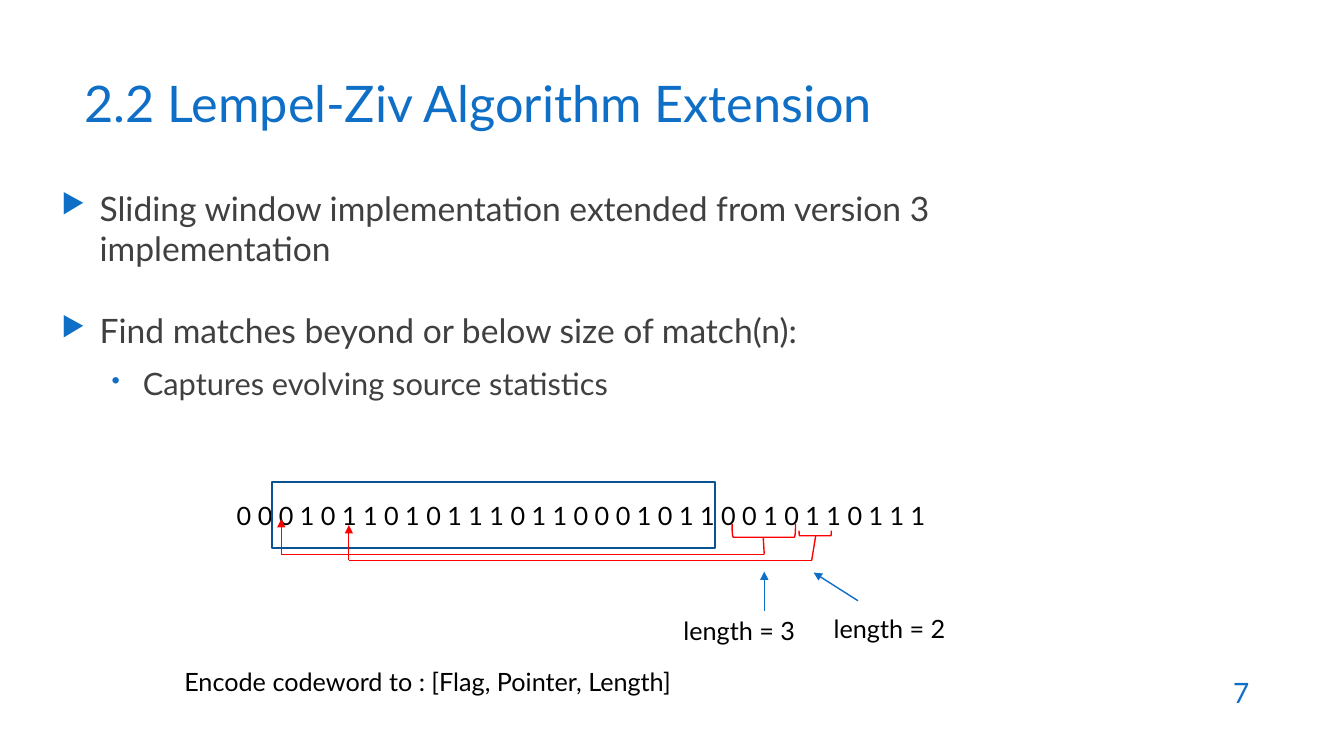
from collections import namedtuple

from lxml.etree import SubElement
from pptx import Presentation
from pptx.dml.color import RGBColor
from pptx.enum.shapes import MSO_CONNECTOR as Connector, MSO_SHAPE as Shape
from pptx.enum.text import MSO_ANCHOR as Anchor, PP_ALIGN as Align
from pptx.oxml.ns import qn
from pptx.util import Inches, Pt

BLUE, WINDOW_BLUE, RED = "0F6FC6", "0B5292", "FF0000"
GREY, BLACK = "404040", "000000"
FONT = "Lato"
Box = namedtuple("Box", "left top width height")
Match = namedtuple("Match", "pointer_x tip_y run_y bracket stem_top stem_foot")
Bullet = namedtuple("Bullet", "text symbol size level margin hang")


def rgb(color):
    """Turn a hex string into a colour."""
    return RGBColor.from_string(color)


def inches(*lengths):
    """Convert several lengths to inches."""
    return [Inches(length) for length in lengths]


def style(paragraph, size, color):
    """Set the font of a paragraph."""
    font = paragraph.font
    font.name, font.size, font.color.rgb = FONT, Pt(size), rgb(color)


def add_frame(slide, box):
    """Add a wrapping text box and return its text frame."""
    frame = slide.shapes.add_textbox(*inches(*box)).text_frame
    frame.word_wrap = True
    return frame


def add_label(slide, box, text, size=18, color=BLACK):
    """Add a text box with one paragraph and return its frame."""
    frame = add_frame(slide, box)
    frame.text = text
    style(frame.paragraphs[0], size, color)
    return frame


def add_bullets(slide, box, bullets):
    """Add a list of bulleted paragraphs."""
    frame = add_frame(slide, box)
    for index, bullet in enumerate(bullets):
        paragraph = frame.add_paragraph() if index else frame.paragraphs[0]
        paragraph.text, paragraph.level = bullet.text, bullet.level
        paragraph.space_before = Pt(10)
        style(paragraph, bullet.size, GREY)
        props = paragraph._p.get_or_add_pPr()
        props.set("marL", str(Inches(bullet.margin)))
        props.set("indent", str(Inches(-bullet.hang)))
        tint = SubElement(props, qn("a:buClr"))
        SubElement(tint, qn("a:srgbClr"), val=BLUE)
        SubElement(props, qn("a:buSzPct"), val="80000")
        SubElement(props, qn("a:buChar"), char=bullet.symbol)
        props.append(props.find(qn("a:defRPr")))


def add_outline(shapes, preset, box, color, width):
    """Add an unfilled preset shape."""
    outline = shapes.add_shape(preset, *inches(*box))
    outline.shadow.inherit = False
    outline.fill.background()
    outline.line.color.rgb, outline.line.width = rgb(color), Pt(width)
    return outline


def add_line(shapes, start, end, color, width=1, arrow=False):
    """Add a straight line, with an arrowhead at its end if asked."""
    line = shapes.add_connector(Connector.STRAIGHT, *inches(*start, *end))
    line.line.color.rgb, line.line.width = rgb(color), Pt(width)
    if arrow:
        SubElement(line.line._get_or_add_ln(), qn("a:tailEnd"), type="triangle")
    SubElement(line._element.spPr, qn("a:effectLst"))


def add_match(slide, left, top, match):
    """Draw a bracketed match and its pointer back into the window."""
    shapes = slide.shapes.add_group_shape().shapes

    def at(x, y):
        return left + x, top + y

    corner = at(match.pointer_x, match.run_y)
    foot = at(match.stem_foot, match.run_y)
    add_line(shapes, corner, at(match.pointer_x, match.tip_y), RED, 0.75, True)
    x, y, width, height = match.bracket
    bracket = add_outline(shapes, Shape.RIGHT_BRACKET, (*at(x, y), width, height), RED, 1)
    bracket.rotation = 90
    add_line(shapes, corner, foot, RED)
    add_line(shapes, at(*match.stem_top), foot, RED)


def add_sequence(slide, box):
    """Draw the bit sequence, its sliding window, matches and lengths."""
    left, top, width, _ = box
    bits = "000101101011101100010110010110111"
    add_label(slide, Box(left, top + 0.13, width, 0.4), " ".join(bits))
    add_outline(slide.shapes, Shape.RECTANGLE, (left + 0.45, top, 4.39, 0.66), WINDOW_BLUE, 1.5)
    matches = [
        Match(1.21, 0.43, 0.78, Box(5.81, 0.35, 0.05, 0.32), (5.84, 0.54), 5.8),
        Match(0.54, 0.37, 0.72, Box(5.26, 0.17, 0.13, 0.63), (5.32, 0.55), 5.33),
    ]
    for match in matches:
        add_match(slide, left, top, match)
    lengths = [
        ("length = 3", (4.43, 1.28), (5.33, 1.28), (5.33, 0.89)),
        ("length = 2", (5.92, 1.26), (6.26, 1.18), (5.82, 0.9)),
    ]
    for text, corner, start, end in lengths:
        label, tail, tip = [(left + x, top + y) for x, y in (corner, start, end)]
        add_line(slide.shapes, tail, tip, BLUE, arrow=True)
        add_label(slide, Box(*label, 1.54, 0.4), text)


def add_page_number(slide, box, number):
    """Add the right-aligned page number."""
    frame = add_label(slide, box, number, 20, BLUE)
    frame.vertical_anchor = Anchor.MIDDLE
    frame.paragraphs[0].alignment = Align.RIGHT


def main():
    """Build and save the slide."""
    deck = Presentation()
    deck.slide_width, deck.slide_height = inches(13.33, 7.5)
    slide = deck.slides.add_slide(deck.slide_layouts[6])
    add_label(slide, Box(0.74, 0.67, 9.4, 1.44), "2.2 Lempel-Ziv Algorithm Extension", 36, BLUE)
    add_bullets(slide, Box(0.51, 1.81, 9.13, 1.21), [
        Bullet("Sliding window implementation extended from version 3 implementation",
               "▶", 24, 0, 0.38, 0.38),
    ])
    add_bullets(slide, Box(0.51, 3.03, 8.43, 0.88), [
        Bullet("Find matches beyond or below size of match(n):", "▶", 24, 0, 0.38, 0.38),
        Bullet("Captures evolving source statistics", "•", 22, 1, 0.81, 0.31),
    ])
    add_sequence(slide, Box(2.25, 4.78, 7.96, 1.68))
    add_label(slide, Box(1.73, 6.56, 5.97, 0.41), "Encode codeword to : [Flag, Pointer, Length]")
    add_page_number(slide, Box(11.74, 6.67, 0.75, 0.4), "7")
    deck.save("out.pptx")


if __name__ == "__main__":
    main()
